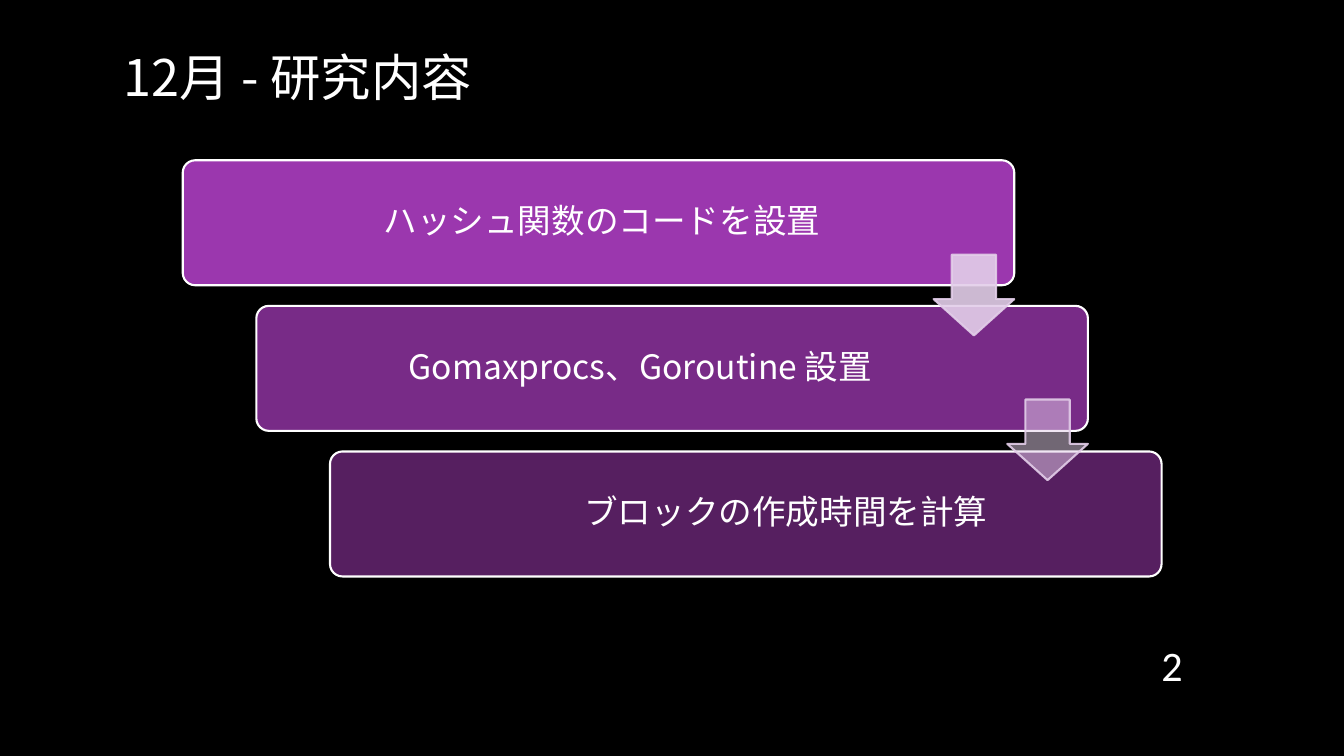
"""Builds a slide with a three-step research plan as a descending staircase."""
from lxml import etree
from pptx import Presentation
from pptx.dml.color import RGBColor
from pptx.enum.shapes import MSO_SHAPE
from pptx.enum.text import MSO_ANCHOR, PP_ALIGN
from pptx.oxml.ns import qn
from pptx.util import Pt

CARD = MSO_SHAPE.ROUNDED_RECTANGLE
ARROW = MSO_SHAPE.DOWN_ARROW
MIDDLE = MSO_ANCHOR.MIDDLE
LEFT, CENTER, RIGHT = PP_ALIGN.LEFT, PP_ALIGN.CENTER, PP_ALIGN.RIGHT

TITLE = "12月 - 研究内容"
PAGE_NUMBER = "2"
STEPS = [
    {"text": "ハッシュ関数のコードを設置", "opacity": 90, "width": 497.5, "indent": 96},
    {"text": "Gomaxprocs、Goroutine 設置", "opacity": 70, "width": 478, "indent": 65},
    {"text": "ブロックの作成時間を計算", "opacity": 50, "width": 478, "indent": 168},
]
ARROW_OPACITIES = [90, 50]

JAPANESE_FONT, NUMBER_FONT = "Noto Sans CJK JP", "Calibri"
BLACK, WHITE, PURPLE, LILAC = "000000", "FFFFFF", "AC3EC1", "E3CEE9"
CARD_LEFT, CARD_TOP, CARD_WIDTH, CARD_HEIGHT = 130.5, 114.5, 594, 89.3
STEP_X, STEP_Y = 52.6, 104
CARD_PADDING, TEXT_INSET = 2.6, 7.2
ARROW_SIZE, ARROW_TOP, ARROW_STEP_Y = 57.6, 182, 103.4


def set_color(color_format, color, opacity=100):
    color_format.solid()
    color_format.fore_color.rgb = RGBColor.from_string(color)
    if opacity < 100:
        color_element = color_format._xPr.find(".//" + qn("a:srgbClr"))
        alpha = etree.SubElement(color_element, qn("a:alpha"))
        alpha.set("val", str(opacity * 1000))


def add_shape(slide, kind, box, adjustments, fill, line, opacity, line_opacity=100):
    shape = slide.shapes.add_shape(kind, *map(Pt, box))
    shape.shadow.inherit = False
    for index, value in enumerate(adjustments):
        shape.adjustments[index] = value
    set_color(shape.fill, fill, opacity)
    set_color(shape.line.fill, line, line_opacity)
    shape.line.width = Pt(1.5)


def add_text(slide, box, text, size, font, alignment, inset=3.6, indent=0):
    frame = slide.shapes.add_textbox(*map(Pt, box)).text_frame
    frame.word_wrap = True
    frame.vertical_anchor = MIDDLE
    frame.margin_left = Pt(TEXT_INSET + indent)
    frame.margin_right = Pt(TEXT_INSET)
    frame.margin_top = frame.margin_bottom = Pt(inset)
    paragraph = frame.paragraphs[0]
    paragraph.alignment = alignment
    paragraph.line_spacing = 0.9
    run = paragraph.add_run()
    run.text = text
    run.font.size = Pt(size)
    set_color(run.font.fill, WHITE)
    run.font.name = font
    etree.SubElement(run.font._rPr, qn("a:ea")).set("typeface", font)


def main():
    presentation = Presentation()
    presentation.slide_width, presentation.slide_height = Pt(960), Pt(540)
    slide = presentation.slides.add_slide(presentation.slide_layouts[6])
    set_color(slide.background.fill, BLACK)

    add_text(slide, (81.4, 0, 797.8, 114.5), TITLE, 36, JAPANESE_FONT, LEFT)

    for index, step in enumerate(STEPS):
        left, top = CARD_LEFT + index * STEP_X, CARD_TOP + index * STEP_Y
        add_shape(slide, CARD, (left, top, CARD_WIDTH, CARD_HEIGHT), [0.1],
                  PURPLE, WHITE, step["opacity"])
        text_box = (left + CARD_PADDING, top + CARD_PADDING,
                    step["width"], CARD_HEIGHT - 2 * CARD_PADDING)
        add_text(slide, text_box, step["text"], 24, JAPANESE_FONT, CENTER,
                 TEXT_INSET, step["indent"])

    for index, opacity in enumerate(ARROW_OPACITIES):
        left = CARD_LEFT + CARD_WIDTH - ARROW_SIZE + index * STEP_X
        top = ARROW_TOP + index * ARROW_STEP_Y
        add_shape(slide, ARROW, (left, top, ARROW_SIZE, ARROW_SIZE), [0.55, 0.45],
                  LILAC, LILAC, opacity, 90)

    add_text(slide, (808.6, 462.2, 43.2, 29.5), PAGE_NUMBER, 30, NUMBER_FONT, RIGHT)
    presentation.save("out.pptx")


if __name__ == "__main__":
    main()
